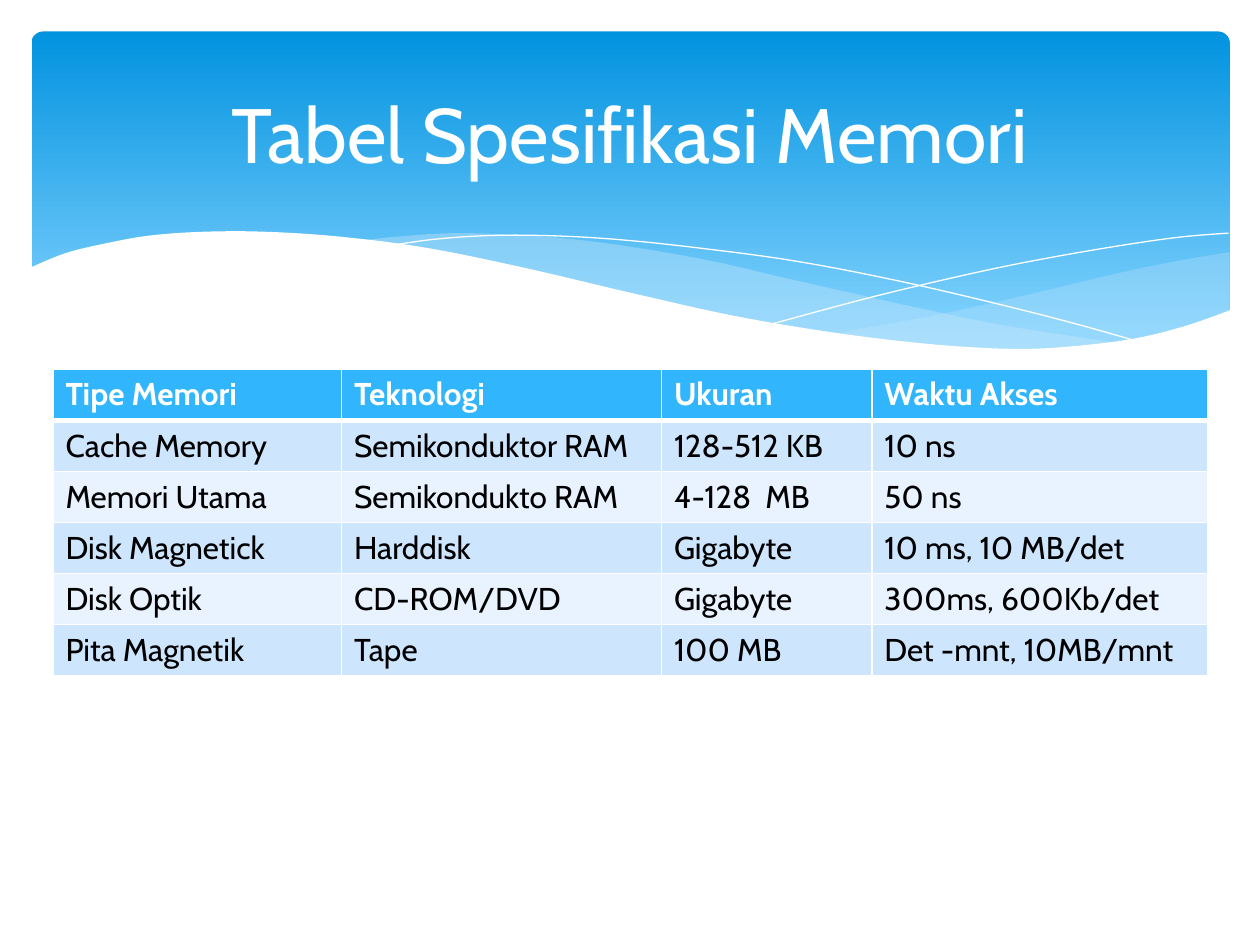
"""Build a slide with a wave banner and a table of memory specifications."""
from dataclasses import dataclass

from lxml import etree
from pptx import Presentation
from pptx.dml.color import RGBColor
from pptx.enum.shapes import MSO_SHAPE
from pptx.enum.text import MSO_ANCHOR, PP_ALIGN
from pptx.oxml.ns import qn
from pptx.util import Inches, Pt

ROUNDED = MSO_SHAPE.ROUNDED_RECTANGLE
MIDDLE = MSO_ANCHOR.MIDDLE
CENTER = PP_ALIGN.CENTER


@dataclass(frozen=True)
class Theme:
    font: str = "Cabin"
    title_size: int = 44
    table_size: int = 18
    white: str = "FFFFFF"
    black: str = "000000"
    banner_top: str = "0293E0"
    banner_bottom: str = "83D3FE"
    wave: str = "C6E7FC"
    header: str = "31B6FD"
    bands: tuple = ("CEE5FE", "E8F3FF")


BACK_WAVE_TOP = [(9.76, 2), (9.35, 2.07), (8.91, 2.16), (8.32, 2.3), (7.53, 2.48), (6.61, 2.65)]
BACK_WAVE_BOTTOM = [(6.61, 2.65), (7.19, 2.72), (7.69, 2.77), (8.24, 2.77), (8.72, 2.74),
                    (9.13, 2.67), (9.49, 2.57), (9.76, 2.47)]
FRONT_WAVE_TOP = [(8.93, 2.73), (8.07, 2.6), (7.41, 2.47), (6.29, 2.22), (5.69, 2.08),
                  (5.14, 1.98), (4.65, 1.91), (4.2, 1.87), (3.61, 1.85), (3.13, 1.88), (2.86, 1.91)]
FRONT_WAVE_BOTTOM = [(2.86, 1.91), (3.42, 1.99), (4.04, 2.11), (4.91, 2.32), (5.66, 2.48),
                     (6.34, 2.61), (6.95, 2.7), (7.48, 2.76), (7.96, 2.78), (8.48, 2.77), (8.93, 2.73)]
FALLING_LINE = [(3.09, 1.95), (3.44, 1.9), (3.87, 1.87), (4.33, 1.87), (4.89, 1.9), (5.56, 1.97),
                (6.36, 2.08), (7.27, 2.26), (8.31, 2.51), (9.07, 2.72)]
RISING_LINE = [(6.13, 2.57), (6.95, 2.35), (7.76, 2.16), (8.36, 2.04), (8.95, 1.94),
               (9.38, 1.88), (9.75, 1.85)]
BANNER_EDGE = [(9.77, 2.46), (9.4, 2.59), (8.99, 2.69), (8.5, 2.75), (8.09, 2.77), (7.61, 2.75),
               (7.08, 2.7), (6.48, 2.62), (5.79, 2.5), (5.03, 2.33), (4.18, 2.13), (3.4, 1.97),
               (2.71, 1.88), (2.11, 1.84), (1.61, 1.84), (1.19, 1.87), (0.85, 1.93),
               (0.52, 2.01), (0.23, 2.13)]
BANNER_CORNERS = [(0.23, 3.29), (9.77, 3.29)]

COLUMNS = [2.29, 2.54, 1.67, 2.67]
ROW_HEIGHT = 0.405
ROWS = [
    ["Tipe Memori", "Teknologi", "Ukuran", "Waktu Akses"],
    ["Cache Memory", "Semikonduktor RAM", "128-512 KB", "10 ns"],
    ["Memori Utama", "Semikondukto RAM", "4-128  MB", "50 ns"],
    ["Disk Magnetick", "Harddisk", "Gigabyte", "10 ms, 10 MB/det"],
    ["Disk Optik", "CD-ROM/DVD", "Gigabyte", "300ms, 600Kb/det"],
    ["Pita Magnetik", "Tape", "100 MB", "Det -mnt, 10MB/mnt"],
]


def smooth(knots, steps=6):
    padded = [knots[0], *knots, knots[-1]]
    points = [knots[0]]
    for a, b, c, d in zip(padded, padded[1:], padded[2:], padded[3:]):
        for i in range(1, steps + 1):
            t = i / steps
            points.append(tuple(
                q + t / 2 * (r - p + t * (2 * p - 5 * q + 4 * r - s + t * (3 * (q - r) + s - p)))
                for p, q, r, s in zip(a, b, c, d)))
    return points


class SlideBuilder:
    def __init__(self, slide, theme):
        self.s = slide
        self.theme = theme

    def paint(self, fill, color):
        fill.solid()
        fill.fore_color.rgb = RGBColor.from_string(color)

    def style_text(self, p, size, color, bold=False):
        for r in p.runs:
            r.font.name = self.theme.font
            r.font.size = Pt(size)
            r.font.bold = bold
            r.font.color.rgb = RGBColor.from_string(color)

    def banner(self, x, y, w, h):
        sp = self.s.shapes.add_shape(ROUNDED, Inches(x), Inches(y), Inches(w), Inches(h))
        sp.adjustments[0] = 0.034
        sp.shadow.inherit = False
        sp.line.fill.background()
        sp.fill.gradient()
        sp.fill.gradient_angle = 270
        colors = (self.theme.banner_top, self.theme.banner_bottom)
        for stop, position, color in zip(sp.fill.gradient_stops, (0, 0.9), colors):
            stop.position = position
            stop.color.rgb = RGBColor.from_string(color)

    def outline(self, points, close):
        start, *rest = [(Inches(x), Inches(y)) for x, y in points]
        builder = self.s.shapes.build_freeform(*start)
        builder.add_line_segments(rest, close=close)
        sp = builder.convert_to_shape()
        sp.shadow.inherit = False
        return sp

    def area(self, points, color, opacity=100):
        sp = self.outline(points, True)
        sp.line.fill.background()
        self.paint(sp.fill, color)
        if opacity < 100:
            rgb = sp.fill._xPr.find(".//" + qn("a:srgbClr"))
            etree.SubElement(rgb, qn("a:alpha")).set("val", str(opacity * 1000))

    def curve(self, knots):
        sp = self.outline(smooth(knots), False)
        sp.fill.background()
        self.paint(sp.line.fill, self.theme.white)
        sp.line.width = Pt(0)

    def title(self, text, x, y, w, h):
        tf = self.s.shapes.add_textbox(Inches(x), Inches(y), Inches(w), Inches(h)).text_frame
        tf.word_wrap = True
        tf.vertical_anchor = MIDDLE
        tf.text = text
        p = tf.paragraphs[0]
        p.alignment = CENTER
        self.style_text(p, self.theme.title_size, self.theme.white)

    def border(self, cell, side, width):
        ln = etree.SubElement(cell._tc.get_or_add_tcPr(), qn("a:ln" + side), w=str(Pt(width)))
        fill = etree.SubElement(ln, qn("a:solidFill"))
        etree.SubElement(fill, qn("a:srgbClr"), val=self.theme.white)

    def table(self, rows, columns, row_height, x, y):
        table = self.s.shapes.add_table(
            len(rows), len(columns), Inches(x), Inches(y),
            Inches(sum(columns)), Inches(row_height * len(rows))).table
        for column, width in zip(table.columns, columns):
            column.width = Inches(width)
        for i, row in enumerate(rows):
            header = i == 0
            fill = self.theme.header if header else self.theme.bands[(i - 1) % 2]
            color = self.theme.white if header else self.theme.black
            widths = {"L": 1, "R": 1, "T": 3 if i == 1 else 1, "B": 3 if header else 1}
            for j, text in enumerate(row):
                cell = table.cell(i, j)
                cell.text = text
                self.style_text(cell.text_frame.paragraphs[0], self.theme.table_size, color, header)
                for side, width in widths.items():
                    self.border(cell, side, width)
                self.paint(cell.fill, fill)


def main():
    prs = Presentation()
    prs.slide_width, prs.slide_height = Inches(10), Inches(7.5)
    theme = Theme()
    b = SlideBuilder(prs.slides.add_slide(prs.slide_layouts[6]), theme)
    b.banner(0.25, 0.25, 9.51, 2.7)
    b.area(smooth(BACK_WAVE_TOP) + smooth(BACK_WAVE_BOTTOM), theme.wave, 29)
    b.area(smooth(FRONT_WAVE_TOP) + smooth(FRONT_WAVE_BOTTOM), theme.wave, 40)
    b.curve(FALLING_LINE)
    b.curve(RISING_LINE)
    b.area(smooth(BANNER_EDGE) + BANNER_CORNERS, theme.white)
    b.table(ROWS, COLUMNS, ROW_HEIGHT, 0.42, 2.93)
    b.title("Tabel Spesifikasi Memori", 0.5, 0.37, 9, 1.37)
    prs.save("out.pptx")


if __name__ == "__main__":
    main()
